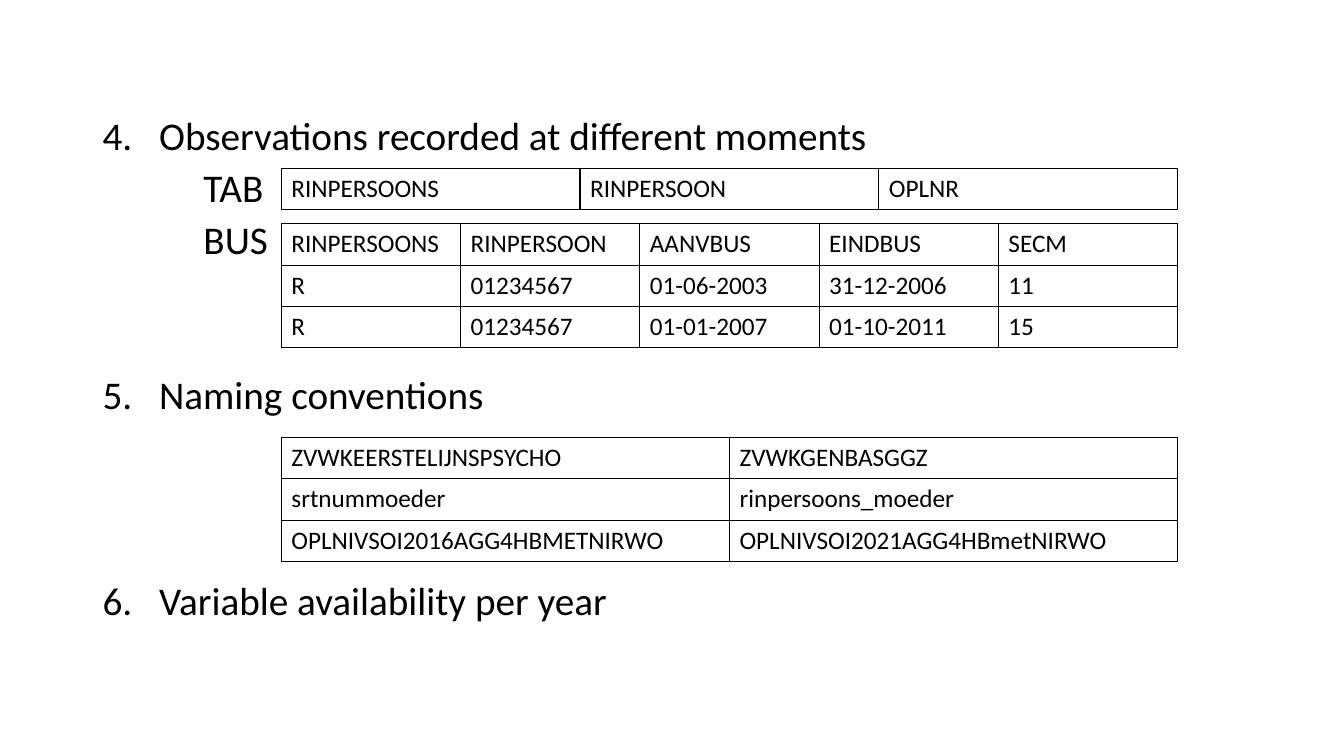
from dataclasses import dataclass

from lxml.etree import SubElement
from pptx import Presentation
from pptx.dml.color import RGBColor
from pptx.enum.text import MSO_ANCHOR
from pptx.oxml.ns import qn
from pptx.slide import Slide
from pptx.table import _Cell as Cell
from pptx.text.text import _Paragraph as Paragraph
from pptx.util import Inches, Pt


@dataclass(frozen=True)
class Theme:
    font: str = "Calibri"
    ink: str = "000000"
    body_size: float = 28
    table_size: float = 18
    border_width: float = 1
    line_spacing: float = 0.8
    space_before: float = 10
    line_pitch: float = 36.9


@dataclass(frozen=True)
class OutlineItem:
    text: str
    number: int | None = None
    lines_skipped: int = 0


@dataclass(frozen=True)
class VariableTable:
    top: float
    rows: list[list[str]]


THEME = Theme()
TABLE_LEFT = 2.79
TABLE_WIDTH = 8.89
ROW_HEIGHT = 0.41
NUMBER_INDENT = 0.56
LABEL_INDENT = 1.0

OUTLINE = [
    OutlineItem("Observations recorded at different moments", number=4),
    OutlineItem("TAB"),
    OutlineItem("BUS"),
    OutlineItem("Naming conventions", number=5, lines_skipped=2),
    OutlineItem("Variable availability per year", number=6, lines_skipped=3),
]

TABLES = [
    VariableTable(1.67, [["RINPERSOONS", "RINPERSOON", "OPLNR"]]),
    VariableTable(2.22, [
        ["RINPERSOONS", "RINPERSOON", "AANVBUS", "EINDBUS", "SECM"],
        ["R", "01234567", "01-06-2003", "31-12-2006", "11"],
        ["R", "01234567", "01-01-2007", "01-10-2011", "15"],
    ]),
    VariableTable(4.34, [
        ["ZVWKEERSTELIJNSPSYCHO", "ZVWKGENBASGGZ"],
        ["srtnummoeder", "rinpersoons_moeder"],
        ["OPLNIVSOI2016AGG4HBMETNIRWO", "OPLNIVSOI2021AGG4HBmetNIRWO"],
    ]),
]


def format_runs(paragraph: Paragraph, size: float) -> None:
    for run in paragraph.runs:
        run.font.name = THEME.font
        run.font.size = Pt(size)
        run.font.color.rgb = RGBColor.from_string(THEME.ink)


def indent_paragraph(paragraph: Paragraph, number: int | None) -> None:
    properties = paragraph._p.get_or_add_pPr()
    if number is None:
        properties.set("marL", str(Inches(LABEL_INDENT)))
        properties.set("indent", "0")
        SubElement(properties, qn("a:buNone"))
    else:
        properties.set("marL", str(Inches(NUMBER_INDENT)))
        properties.set("indent", str(-Inches(NUMBER_INDENT)))
        SubElement(properties, qn("a:buAutoNum"), type="arabicPeriod", startAt=str(number))


def draw_outline(slide: Slide, items: list[OutlineItem]) -> None:
    text_box = slide.shapes.add_textbox(Inches(0.92), Inches(1.15), Inches(11.5), Inches(5.53))
    text_frame = text_box.text_frame
    text_frame.word_wrap = True
    text_frame.vertical_anchor = MSO_ANCHOR.TOP
    text_frame.text = "\n".join(item.text for item in items)
    for paragraph, item in zip(text_frame.paragraphs, items):
        paragraph.line_spacing = THEME.line_spacing
        paragraph.space_before = Pt(THEME.space_before + item.lines_skipped * THEME.line_pitch)
        indent_paragraph(paragraph, item.number)
        format_runs(paragraph, THEME.body_size)


def draw_borders(cell: Cell) -> None:
    properties = cell._tc.get_or_add_tcPr()
    for position, side in enumerate(("a:lnL", "a:lnR", "a:lnT", "a:lnB")):
        line = SubElement(properties, qn(side), w=str(Pt(THEME.border_width)))
        fill = SubElement(line, qn("a:solidFill"))
        SubElement(fill, qn("a:srgbClr"), val=THEME.ink)
        properties.insert(position, line)


def draw_table(slide: Slide, variable_table: VariableTable) -> None:
    rows = variable_table.rows
    frame = slide.shapes.add_table(
        len(rows), len(rows[0]), Inches(TABLE_LEFT), Inches(variable_table.top),
        Inches(TABLE_WIDTH), Inches(ROW_HEIGHT * len(rows)),
    )
    table = frame.table
    table.first_row = False
    table.horz_banding = False
    for row, values in zip(table.rows, rows):
        for cell, value in zip(row.cells, values):
            cell.text_frame.text = value
            format_runs(cell.text_frame.paragraphs[0], THEME.table_size)
            cell.fill.background()
            draw_borders(cell)


def main() -> None:
    presentation = Presentation()
    presentation.slide_width = Inches(13.33)
    presentation.slide_height = Inches(7.5)
    slide = presentation.slides.add_slide(presentation.slide_layouts[6])
    draw_outline(slide, OUTLINE)
    for variable_table in TABLES:
        draw_table(slide, variable_table)
    presentation.save("out.pptx")


if __name__ == "__main__":
    main()
